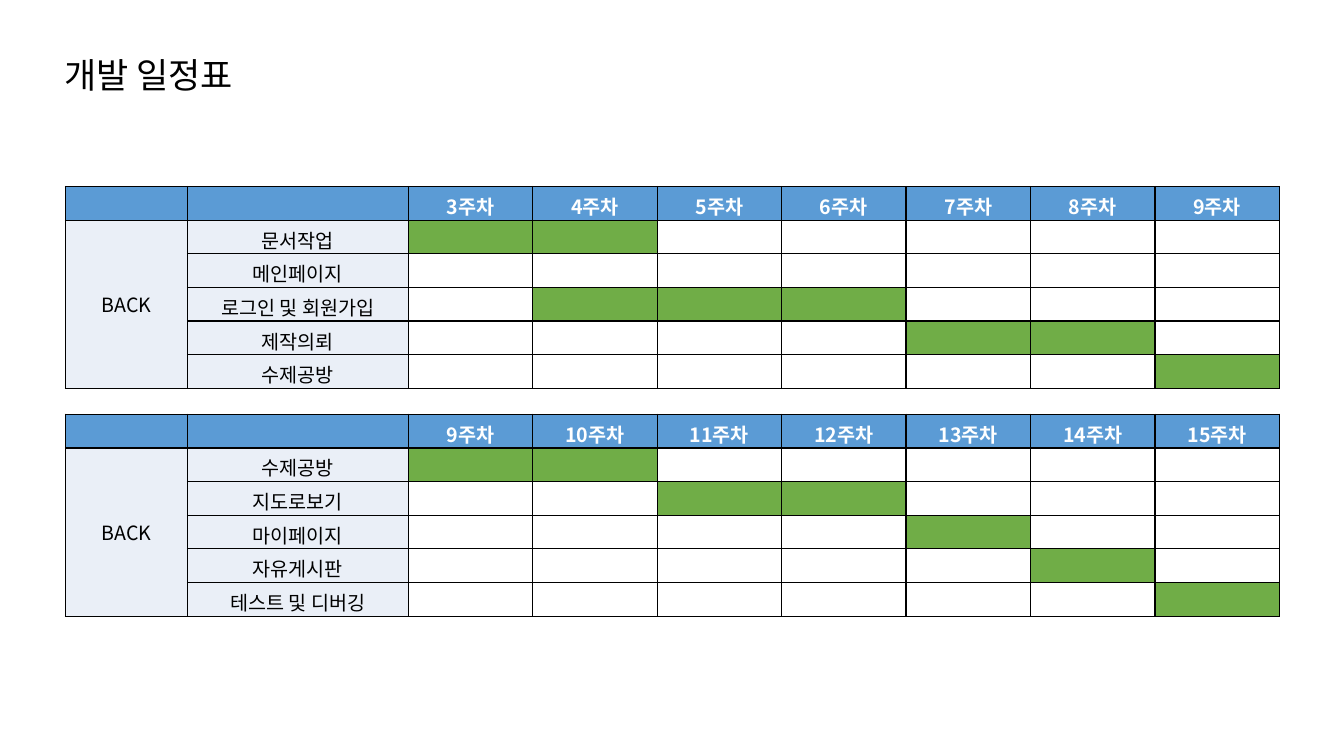
"""Build a development schedule slide with two weekly Gantt tables."""
from dataclasses import dataclass

from lxml.etree import SubElement
from pptx import Presentation
from pptx.dml.color import RGBColor
from pptx.enum.text import MSO_ANCHOR, MSO_AUTO_SIZE, PP_ALIGN
from pptx.oxml.ns import qn
from pptx.table import _Cell
from pptx.text.text import TextFrame
from pptx.util import Inches, Pt


@dataclass(frozen=True)
class Theme:
    font: str = "Noto Sans CJK KR"
    title_size: int = 25
    table_size: int = 14
    border_width: int = 1
    black: str = "000000"
    white: str = "FFFFFF"
    header: str = "5B9BD5"
    label: str = "EAEFF7"
    active: str = "70AD47"


@dataclass(frozen=True)
class Task:
    name: str
    first_week: int
    last_week: int


@dataclass(frozen=True)
class Schedule:
    top: float
    first_week: int
    tasks: tuple[Task, ...]


THEME = Theme()
TABLE_LEFT, TABLE_WIDTH, TABLE_HEIGHT = 0.65, 12.04, 2
GROUP_WIDTH, TASK_WIDTH = 1.21, 2.19
WEEK_COUNT = 7
LABEL_COLUMNS = 2
UNPLANNED = 0

SCHEDULES = (
    Schedule(1.85, 3, (
        Task("문서작업", 3, 4),
        Task("메인페이지", UNPLANNED, UNPLANNED),
        Task("로그인 및 회원가입", 4, 6),
        Task("제작의뢰", 7, 8),
        Task("수제공방", 9, 9),
    )),
    Schedule(4.11, 9, (
        Task("수제공방", 9, 10),
        Task("지도로보기", 11, 12),
        Task("마이페이지", 13, 13),
        Task("자유게시판", 14, 14),
        Task("테스트 및 디버깅", 15, 15),
    )),
)


def write_text(frame: TextFrame, text: str, *, size: int, color: str = THEME.black,
               bold: bool = False, align: PP_ALIGN = PP_ALIGN.CENTER) -> None:
    paragraph = frame.paragraphs[0]
    paragraph.alignment = align
    run = paragraph.add_run()
    run.text = text
    run.font.size = Pt(size)
    run.font.bold = bold
    run.font.color.rgb = RGBColor.from_string(color)
    run.font.name = THEME.font
    SubElement(run.font._element, qn("a:ea"), typeface=THEME.font)


def add_borders(cell: _Cell) -> None:
    properties = cell._tc.get_or_add_tcPr()
    for index, side in enumerate(("a:lnL", "a:lnR", "a:lnT", "a:lnB")):
        line = properties.makeelement(qn(side), {"w": str(Pt(THEME.border_width))})
        fill = SubElement(line, qn("a:solidFill"))
        SubElement(fill, qn("a:srgbClr"), val=THEME.black)
        properties.insert(index, line)


def format_cell(cell: _Cell, fill: str, text: str = "", *, color: str = THEME.black,
                bold: bool = False, top_margin: float = 0) -> None:
    cell.fill.solid()
    cell.fill.fore_color.rgb = RGBColor.from_string(fill)
    cell.vertical_anchor = MSO_ANCHOR.MIDDLE
    cell.margin_top = Inches(top_margin)
    cell.margin_bottom = Inches(0)
    add_borders(cell)
    if text:
        write_text(cell.text_frame, text, size=THEME.table_size, color=color, bold=bold)


def add_schedule(slide, schedule: Schedule) -> None:
    row_count = len(schedule.tasks) + 1
    table = slide.shapes.add_table(
        row_count, LABEL_COLUMNS + WEEK_COUNT, Inches(TABLE_LEFT), Inches(schedule.top),
        Inches(TABLE_WIDTH), Inches(TABLE_HEIGHT)).table
    week_width = (TABLE_WIDTH - GROUP_WIDTH - TASK_WIDTH) / WEEK_COUNT
    widths = [GROUP_WIDTH, TASK_WIDTH] + [week_width] * WEEK_COUNT
    for column, width in zip(table.columns, widths):
        column.width = Inches(width)

    weeks = range(schedule.first_week, schedule.first_week + WEEK_COUNT)
    for index in range(LABEL_COLUMNS):
        format_cell(table.cell(0, index), THEME.header)
    for index, week in enumerate(weeks, LABEL_COLUMNS):
        format_cell(table.cell(0, index), THEME.header, f"{week}주차",
                    color=THEME.white, bold=True, top_margin=0.05)

    table.cell(1, 0).merge(table.cell(row_count - 1, 0))
    for row, task in enumerate(schedule.tasks, 1):
        format_cell(table.cell(row, 0), THEME.label, "BACK" if row == 1 else "")
        format_cell(table.cell(row, 1), THEME.label, task.name, top_margin=0.05)
        for index, week in enumerate(weeks, LABEL_COLUMNS):
            planned = task.first_week <= week <= task.last_week
            format_cell(table.cell(row, index), THEME.active if planned else THEME.white)


def add_title(slide, text: str) -> None:
    title = slide.shapes.title
    title.left, title.top = Inches(0.54), Inches(0.48)
    title.width, title.height = Inches(2.08), Inches(0.52)
    frame = title.text_frame
    frame.word_wrap = False
    frame.auto_size = MSO_AUTO_SIZE.NONE
    frame.vertical_anchor = MSO_ANCHOR.MIDDLE
    write_text(frame, text, size=THEME.title_size, align=PP_ALIGN.LEFT)


def main() -> None:
    presentation = Presentation()
    presentation.slide_width = Inches(13.33)
    presentation.slide_height = Inches(7.5)
    slide = presentation.slides.add_slide(presentation.slide_layouts.get_by_name("Title Only"))
    add_title(slide, "개발 일정표")
    for schedule in SCHEDULES:
        add_schedule(slide, schedule)
    presentation.save("out.pptx")


if __name__ == "__main__":
    main()
